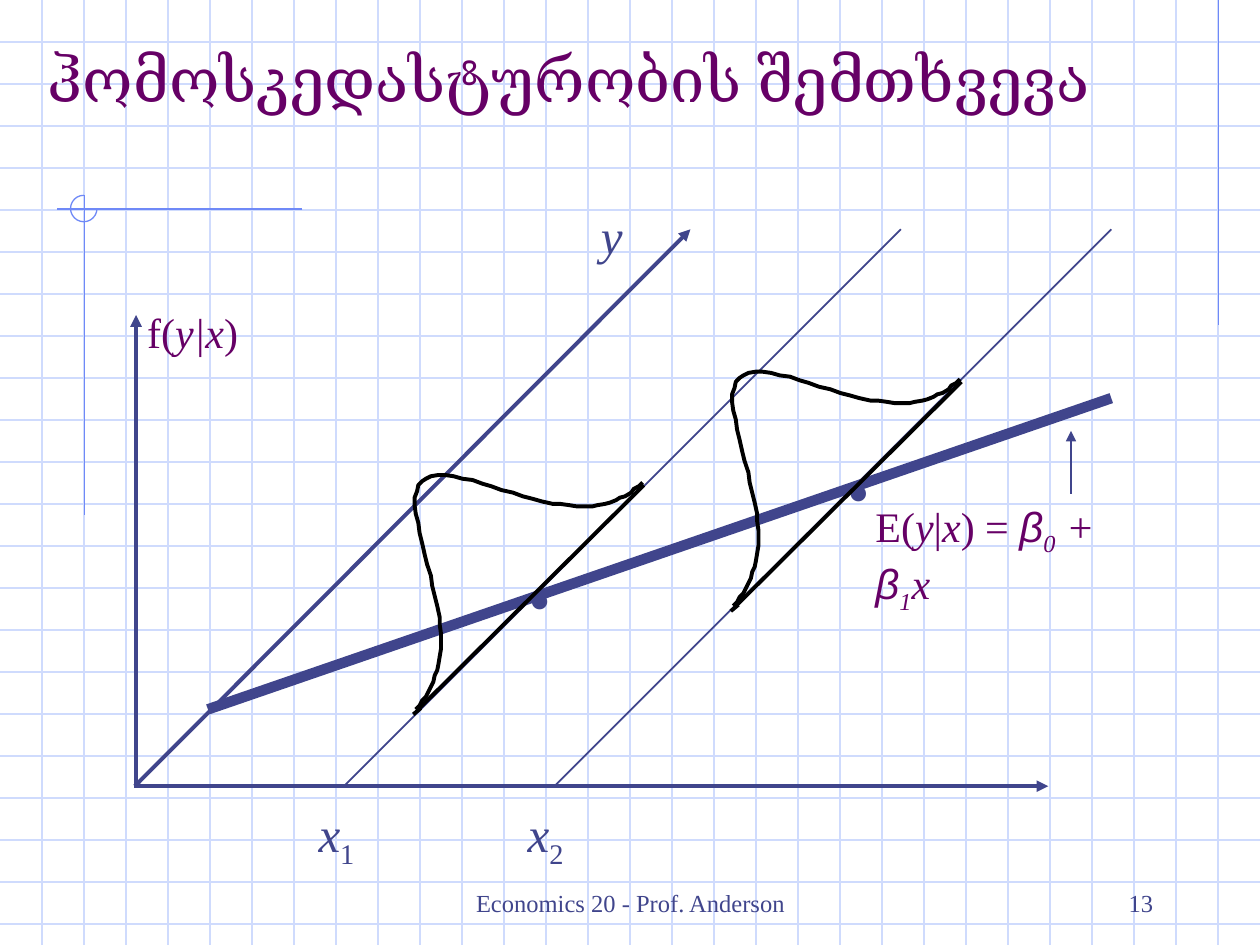
from lxml.etree import SubElement
from pptx import Presentation
from pptx.dml.color import RGBColor
from pptx.enum.shapes import MSO_CONNECTOR as Connector, MSO_SHAPE as Shape
from pptx.enum.text import MSO_ANCHOR as Anchor, MSO_AUTO_SIZE as AutoSize, PP_ALIGN as Align
from pptx.oxml.ns import qn
from pptx.util import Inches, Pt

NAVY = RGBColor(0x40, 0x45, 0x8C)
PURPLE = RGBColor(0x66, 0x00, 0x66)
BLACK = RGBColor(0, 0, 0)
WHITE = RGBColor(0xFF, 0xFF, 0xFF)
GRID = RGBColor(0xCF, 0xDB, 0xFD)
ORNAMENT = RGBColor(0x6F, 0x89, 0xF7)
WIDTH, HEIGHT, STEP = 10, 7.5, 1 / 3

# Bell curve over the first x value
BELL = [
    (3.3, 5.63), (3.33, 5.6), (3.35, 5.56), (3.38, 5.53), (3.4, 5.49), (3.42, 5.45),
    (3.44, 5.41), (3.45, 5.36), (3.47, 5.32), (3.48, 5.27), (3.49, 5.21), (3.5, 5.15),
    (3.5, 5.1), (3.5, 5.03), (3.49, 4.96), (3.49, 4.9), (3.47, 4.81), (3.45, 4.73),
    (3.43, 4.65), (3.42, 4.57), (3.39, 4.48), (3.37, 4.4), (3.35, 4.31), (3.33, 4.23),
    (3.32, 4.15), (3.3, 4.08), (3.29, 4.01), (3.29, 3.95), (3.31, 3.9), (3.32, 3.85),
    (3.35, 3.82), (3.38, 3.8), (3.42, 3.78), (3.48, 3.77), (3.53, 3.77), (3.6, 3.78),
    (3.67, 3.8), (3.75, 3.81), (3.83, 3.84), (3.9, 3.86), (3.98, 3.89), (4.07, 3.91),
    (4.15, 3.94), (4.23, 3.96), (4.3, 3.98), (4.39, 4), (4.45, 4), (4.52, 4.01),
    (4.58, 4.02), (4.64, 4.02), (4.7, 4.02), (4.74, 4.01), (4.8, 4), (4.84, 3.99),
    (4.89, 3.97), (4.92, 3.95), (4.96, 3.94), (5.01, 3.91), (5.03, 3.88), (5.07, 3.86),
    (5.1, 3.83),
]


class Page:
    """Style and drawing methods for one slide."""

    font = "Times New Roman"
    greek_font = "Arial"

    def __init__(self, deck):
        self.slide = deck.slides.add_slide(deck.slide_layouts[6])
        self.shapes = self.slide.shapes
        self.slide.background.fill.solid()
        self.slide.background.fill.fore_color.rgb = WHITE

    def line(self, start, end, color=NAVY, weight=0.75, arrow=False):
        line = self.shapes.add_connector(Connector.STRAIGHT, *map(Inches, start + end))
        line.line.color.rgb = color
        line.line.width = Pt(weight)
        properties = line._element.spPr
        if arrow:
            SubElement(properties.find(qn("a:ln")), qn("a:tailEnd"), type="triangle")
        SubElement(properties, qn("a:effectLst"))

    def outline(self, shape, color, weight):
        shape.shadow.inherit = False
        shape.fill.background()
        shape.line.color.rgb = color
        shape.line.width = Pt(weight)

    def arc(self, left, top, size, start, end):
        arc = self.shapes.add_shape(Shape.ARC, *map(Inches, (left, top, size, size)))
        arc.adjustments[0], arc.adjustments[1] = start, end
        self.outline(arc, ORNAMENT, 0.75)

    def curve(self, points):
        points = [(Inches(x), Inches(y)) for x, y in points]
        builder = self.shapes.build_freeform(*points[0])
        builder.add_line_segments(points[1:], close=False)
        self.outline(builder.convert_to_shape(), BLACK, 2.25)

    def text(self, at, runs, size, color=NAVY, bold=False, align=Align.LEFT,
             anchor=Anchor.TOP, wrap=False):
        """Each run is (words, marks): i italic, s subscript, g Greek; None breaks the line."""
        box = self.shapes.add_textbox(*map(Inches, at))
        frame = box.text_frame
        frame.word_wrap = wrap
        frame.auto_size = AutoSize.NONE if wrap else AutoSize.SHAPE_TO_FIT_TEXT
        frame.vertical_anchor = anchor
        para = frame.paragraphs[0]
        para.alignment = align
        for run in runs:
            if run is None:
                para.add_line_break()
                continue
            words, marks = run
            span = para.add_run()
            span.text = words
            span.font.name = self.greek_font if "g" in marks else self.font
            span.font.size = Pt(size)
            span.font.color.rgb = color
            span.font.bold = bold
            span.font.italic = "i" in marks
            if "s" in marks:
                span._r.get_or_add_rPr().set("baseline", "-25000")


def draw_background(page):
    # Squared paper
    for row in range(1, 23):
        page.line((0, row * STEP), (WIDTH, row * STEP), GRID)
    for column in range(1, 30):
        page.line((column * STEP, 0), (column * STEP, HEIGHT), GRID)
    # Corner ornament
    page.line((9.67, 0), (9.67, 2.58), ORNAMENT)
    page.line((2.4, 1.66), (0.45, 1.66), ORNAMENT)
    page.line((0.67, 1.55), (0.67, 4.09), ORNAMENT)
    page.arc(0.56, 1.55, 0.21, 0, 162)
    # Footer
    page.text((3.42, 6.83, 3.17, 0.5), [("Economics 20 - Prof. Anderson", "")], 14,
              align=Align.CENTER, anchor=Anchor.BOTTOM, wrap=True)
    page.text((7.17, 6.83, 2.08, 0.5), [("13", "")], 14,
              align=Align.RIGHT, anchor=Anchor.BOTTOM, wrap=True)


def draw_graph(page):
    # Axes, lines at each x value, regression line
    page.line((1.07, 6.24), (8.32, 6.24), weight=2.25, arrow=True)
    page.line((1.07, 6.24), (5.48, 1.82), weight=2.25, arrow=True)
    for left in (2.73, 4.4):
        page.line((left, 6.24), (left + 4.42, 1.82), weight=1)
    page.line((1.65, 5.63), (8.82, 3.16), weight=6)
    page.line((1.08, 6.25), (1.08, 2.5), weight=2.25, arrow=True)

    # Mean points and x labels
    for left, top in ((6.62, 3.17), (4.09, 4.03)):
        page.text((left, top, 0.39, 1), [(".", "")], 54, bold=True)
    for left, index in ((2.43, "1"), (4.09, "2")):
        page.text((left, 6.33, 0.6, 0.63), [("x", "i"), (index, "s")], 28, wrap=True)

    # Equal distributions
    for dx, dy in ((0, 0), (2.52, -0.82)):
        page.line((3.28 + dx, 5.67 + dy), (3.34 + dx, 5.62 + dy), BLACK, 2.25)
        page.line((3.31 + dx, 5.64 + dy), (5.11 + dx, 3.85 + dy), BLACK, 2.25)
        page.curve([(x + dx, y + dy) for x, y in BELL])


def draw_labels(page):
    page.text((0.28, 0.28, 8.48, 0.69), [("ჰომოსკედასტურობის შემთხვევა", "")], 35, PURPLE)
    page.text((6.85, 3.92, 2.44, 1.02),
              [("E(", ""), ("y", "i"), ("|", ""), ("x", "i"), (") = ", ""), ("β", "gi"),
               ("0", "is"), (" +", "i"), None, ("β", "gi"), ("1", "is"), ("x", "i")],
              24, PURPLE, wrap=True)
    page.line((8.5, 3.92), (8.5, 3.42), arrow=True)
    page.text((4.67, 1.58, 0.37, 0.57), [("y", "i")], 28)
    page.text((1.07, 2.38, 0.92, 0.5), [("f(", ""), ("y|x", "i"), (")", "")], 24, PURPLE)


def main():
    deck = Presentation()
    deck.slide_width, deck.slide_height = Inches(WIDTH), Inches(HEIGHT)
    page = Page(deck)
    draw_background(page)
    draw_graph(page)
    draw_labels(page)
    deck.save("out.pptx")


if __name__ == "__main__":
    main()
